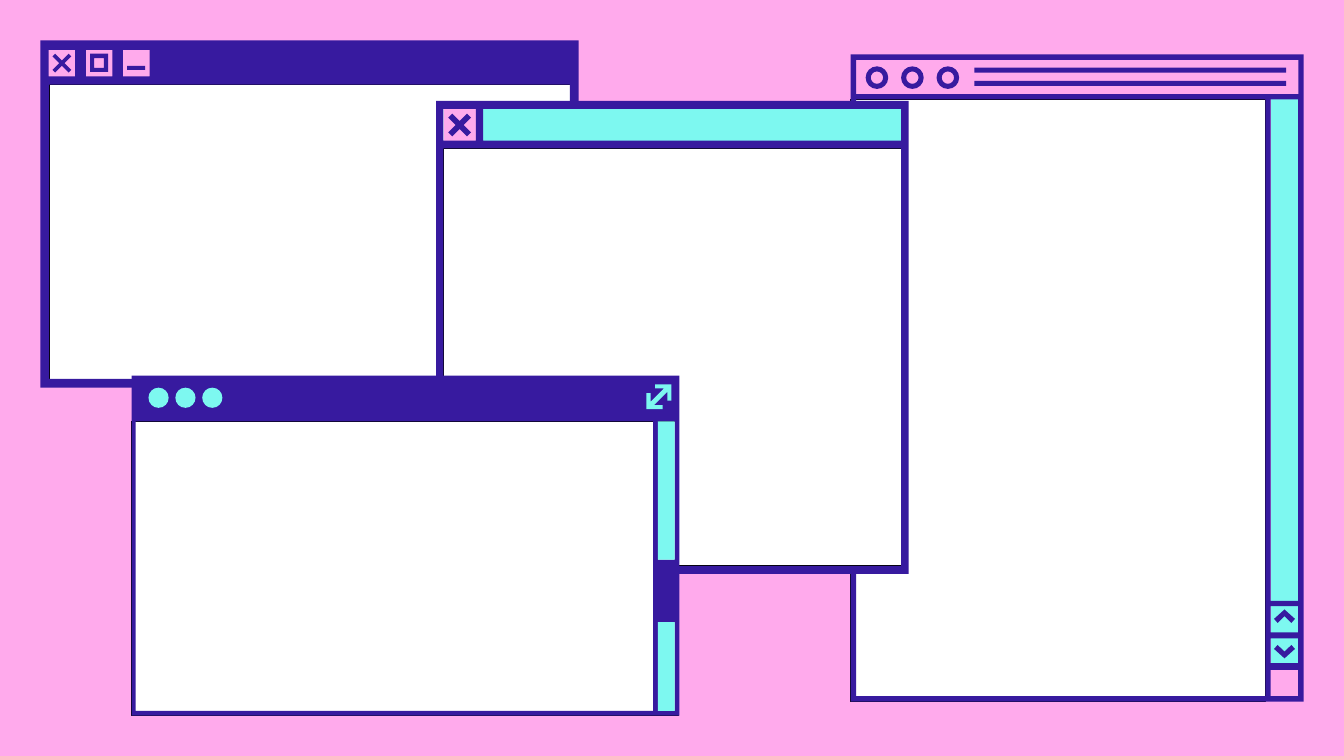
from dataclasses import dataclass
from typing import NamedTuple

from lxml.etree import SubElement
from pptx import Presentation
from pptx.dml.color import RGBColor as RGB
from pptx.oxml.ns import qn
from pptx.util import Pt

COLORS = {
    "pink": "FFAAEC",
    "indigo": "371A9F",
    "aqua": "7DF8F0",
    "white": "FFFFFF",
    "black": "000000",
}
HAIRLINE = {"width": Pt(0.75)}
KAPPA = 0.55  # handle length of a quarter circle


class Contour(NamedTuple):
    points: list
    curved: bool = False


@dataclass
class Layer:
    """Contours drawn as one shape; overlapping ones cut holes."""
    color: str
    contours: list[Contour]
    line: str | None = None


def box(x: float, y: float, w: float, h: float) -> Contour:
    return Contour([(x, y), (x + w, y), (x + w, y + h), (x, y + h)])


def polygon(cx: float, cy: float, offsets: list, curved: bool = False) -> Contour:
    return Contour([(cx + dx, cy + dy) for dx, dy in offsets], curved)


def quarter_turns(pts: list) -> list:
    turns = ((1, 0), (0, 1), (-1, 0), (0, -1))
    return [(x * c - y * s, x * s + y * c) for c, s in turns for x, y in pts]


def circle(cx: float, cy: float, r: float) -> Contour:
    k = KAPPA * r
    return polygon(cx, cy, [(r, 0)] + quarter_turns([(r, k), (k, r), (0, r)]), True)


def cross(cx: float, cy: float, r: float, t: float) -> Contour:
    return polygon(cx, cy, quarter_turns([(t, 0), (r, r - t), (r - t, r)]))


def chevron(cx: float, cy: float, way: int) -> Contour:
    pts = [(-11.2, 2.9), (0, -7.2), (11.2, 2.9), (7.4, 7.2), (0, 0), (-7.4, 7.2)]
    return polygon(cx, cy, [(x, way * y) for x, y in pts])


def bend(sp, contours: list[Contour]) -> None:
    """Turn each three line segments of the curved contours into one curve."""
    segments = list(next(sp._element.iter(qn("a:path"))))
    start = 0
    for c in contours:
        lines = segments[start + 1:start + len(c.points)]
        start += len(c.points) + 1
        if c.curved:
            for i in range(0, len(lines), 3):
                curve = lines[i].makeelement(qn("a:cubicBezTo"))
                lines[i].addprevious(curve)
                for seg in lines[i:i + 3]:
                    curve.append(seg[0])
                    seg.getparent().remove(seg)


def draw_layer(shapes, layer: Layer) -> None:
    paths = [[(Pt(x), Pt(y)) for x, y in c.points] for c in layer.contours]
    fb = shapes.build_freeform(*paths[0][0], scale=1.0)
    for i, path in enumerate(paths):
        if i:
            fb.move_to(*path[0])
        fb.add_line_segments(path[1:], close=True)
    sp = fb.convert_to_shape()
    bend(sp, layer.contours)
    sp.shadow.inherit = False
    sp.fill.solid()
    sp.fill.fore_color.rgb = RGB.from_string(COLORS[layer.color])
    if layer.line:
        sp.line.color.rgb = RGB.from_string(COLORS[layer.line])
        for name, value in HAIRLINE.items():
            setattr(sp.line, name, value)
    else:
        sp.line.fill.background()


def draw_window(slide, sheet: Contour, layers: list[Layer]) -> None:
    shapes = slide.shapes.add_group_shape().shapes
    for layer in (Layer("white", [sheet], "black"), *layers):
        draw_layer(shapes, layer)


prs = Presentation()
prs.slide_width, prs.slide_height = Pt(1440), Pt(810)
s = prs.slides.add_slide(prs.slide_layouts[6])
s.background.fill.solid()
s.background.fill.fore_color.rgb = RGB.from_string(COLORS["pink"])

# Top left window: close, maximise and minimise buttons
sheet = box(52.6, 90.7, 558, 315.4)
buttons = [box(52.2 + 39.8 * i, 53.4, 28.4, 28.4) for i in range(3)]
buttons += [
    cross(66.3, 67.7, 10.1, 2.9),
    box(96.5, 57.6, 19.4, 19.4), box(100.8, 62.3, 10.4, 10.4),
    box(136.1, 70.6, 19.4, 4.3),
]
draw_window(s, sheet, [
    Layer("pink", buttons),
    Layer("indigo", [box(43.2, 43.2, 576.7, 372.2), sheet, *buttons]),
])

# Right window: title rings and rules, scroll bar with chevrons
title = box(917.3, 64.1, 473.8, 36.7)
track, up, down, corner = (
    box(1361.5, y, 29.5, h)
    for y, h in ((106.6, 537.1), (649.4, 28.1), (684, 26.6), (717.8, 28.1)))
outer, inner = ([circle(939.6 + 38 * i, 83.2, r) for i in range(3)]
                for r in (12.1, 6.6))
rules = [box(1044, y, 334.1, 5.4) for y in (72.5, 86.6)]
draw_window(s, box(911.5, 106.6, 444.2, 645.1), [
    Layer("pink", [title, corner]),
    Layer("pink", inner),
    Layer("aqua", [box(1361.5, 106.6, 29.5, 604.8)]),
    Layer("indigo", [
        box(911.5, 58.3, 485.3, 693.4), title, box(917.3, 106.6, 438.5, 639.4),
        track, up, down, corner, *outer, *inner, *rules,
        chevron(1376.3, 660.2, 1), chevron(1376.3, 698.2, -1),
    ]),
])

# Middle window: close button and title bar
sheet = box(475.2, 159.1, 490.3, 447.1)
close = box(475.2, 116.6, 34.6, 34.2)
draw_window(s, sheet, [
    Layer("aqua", [box(475.2, 116.6, 490.3, 34.2)]),
    Layer("pink", [close]),
    Layer("indigo", [
        box(467.3, 108, 506.2, 506.9), close, box(517.7, 116.6, 447.8, 34.2),
        sheet, cross(492.5, 133.9, 12.2, 4.3),
    ]),
])

# Bottom window: dots, resize arrow and split scroll bar
bars = [box(704.9, 451.4, 18, 148.3), box(704.9, 666.7, 18, 95)]
dots = [circle(169.9 + 28.8 * i, 426.2, 10.8) for i in range(3)]
half = [(4, 9), (-5.4, 9), (9, -5.4), (9, 4), (13.3, 4), (13.3, -13.3), (-4, -13.3)]
arrow = polygon(706, 425.2, half + [(-x, -y) for x, y in half])
draw_window(s, box(141.1, 451.4, 586.1, 315.4), [
    Layer("indigo", [
        box(141.1, 402.5, 586.8, 364.3), box(145.4, 451.4, 554.4, 310.3), *bars]),
    Layer("aqua", [*bars, *dots, arrow]),
])

prs.save("out.pptx")
